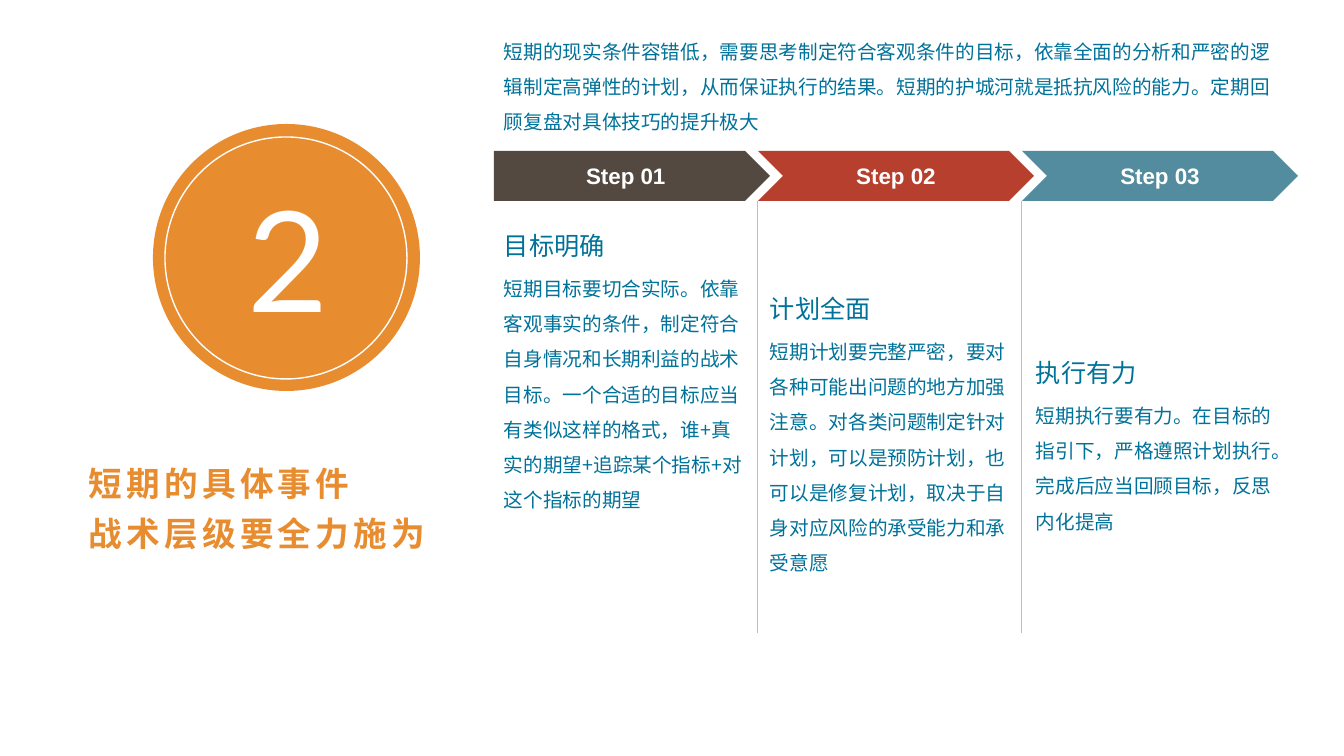
"""Build the slide on short-term events: a numbered badge and three tactical steps."""
from lxml.etree import SubElement
from pptx import Presentation
from pptx.dml.color import RGBColor
from pptx.enum.shapes import MSO_CONNECTOR, MSO_SHAPE
from pptx.enum.text import MSO_ANCHOR, MSO_AUTO_SIZE, PP_ALIGN
from pptx.oxml.ns import qn
from pptx.util import Pt

PX = 914400 / 100.8
CJK = "Noto Sans CJK SC"
COLORS = {
    "orange": "E88C30", "white": "FFFFFF", "brown": "534941", "red": "B6402D",
    "teal": "538C9F", "blue": "00729A", "rule": "BFBFBF",
}
RGB = {name: RGBColor.from_string(value) for name, value in COLORS.items()}

prs = Presentation()
prs.slide_width, prs.slide_height = round(1344 * PX), round(756 * PX)
s = prs.slides.add_slide(prs.slide_layouts[6])


def add_shape(kind, box, fill):
    sp = s.shapes.add_shape(kind, *[round(v * PX) for v in box])
    sp.shadow.inherit = False
    sp.fill.solid()
    sp.fill.fore_color.rgb = RGB[fill]
    sp.line.fill.background()
    return sp


def add_text(box, lines, size, color="blue", font=CJK, spacing=None, bold=False, tracking=0):
    sp = s.shapes.add_textbox(*[round(v * PX) for v in box])
    tf = sp.text_frame
    tf.word_wrap = True
    tf.auto_size = MSO_AUTO_SIZE.SHAPE_TO_FIT_TEXT
    tf.text = lines
    for p in tf.paragraphs:
        p.line_spacing = spacing
        for r in p.runs:
            r.font.size, r.font.bold, r.font.name = Pt(size), bold, font
            r.font.color.rgb = RGB[color]
            rPr = r._r.get_or_add_rPr()
            SubElement(rPr, qn("a:ea")).set("typeface", font)
            if tracking:
                rPr.set("spc", str(tracking * 100))
    return tf


add_shape(MSO_SHAPE.OVAL, (153, 124, 267, 267), "orange")
ring = add_shape(MSO_SHAPE.OVAL, (165, 137, 242, 242), "orange")
ring.line.color.rgb = RGB["white"]
ring.line.width = Pt(1)
tf = add_text((238, 168, 99, 179), "2", 100, "white", "Lato")
tf.word_wrap = False
tf.paragraphs[0].alignment = PP_ALIGN.CENTER

add_text((79, 449, 417, 110), "短期的具体事件\n战术层级要全力施为", 24, "orange",
         spacing=1.23, bold=True, tracking=3)
add_text((494, 23, 803, 117),
         "短期的现实条件容错低，需要思考制定符合客观条件的目标，依靠全面的分析和严密的逻辑制定高弹性的计划，"
         "从而保证执行的结果。短期的护城河就是抵抗风险的能力。定期回顾复盘对具体技巧的提升极大",
         14, spacing=1.5)

steps = [
    (MSO_SHAPE.PENTAGON, "brown", "目标明确", 259,
     "短期目标要切合实际。依靠客观事实的条件，制定符合自身情况和长期利益的战术目标。"
     "一个合适的目标应当有类似这样的格式，谁+真实的期望+追踪某个指标+对这个指标的期望"),
    (MSO_SHAPE.CHEVRON, "red", "计划全面", 259,
     "短期计划要完整严密，要对各种可能出问题的地方加强注意。对各类问题制定针对计划，"
     "可以是预防计划，也可以是修复计划，取决于自身对应风险的承受能力和承受意愿"),
    (MSO_SHAPE.CHEVRON, "teal", "执行有力", 152,
     "短期执行要有力。在目标的指引下，严格遵照计划执行。完成后应当回顾目标，反思内化提高"),
]
for i, (kind, color, heading, height, body) in enumerate(steps):
    x = 494 + 264 * i
    sp = add_shape(kind, (x, 151, 276, 50), color)
    tf = sp.text_frame
    tf.word_wrap = False
    tf.vertical_anchor = MSO_ANCHOR.MIDDLE
    p = tf.paragraphs[0]
    p.text = f"Step {i + 1:02}"
    p.alignment = PP_ALIGN.CENTER
    p.font.size, p.font.bold, p.font.name = Pt(16), True, "Arial"
    p.font.color.rgb = RGB["white"]

    if i:
        ends = (x - 1, 201, x - 1, 633)
        rule = s.shapes.add_connector(MSO_CONNECTOR.STRAIGHT, *[round(v * PX) for v in ends])
        rule.line.color.rgb = RGB["rule"]
        rule.line.width = Pt(0.25)
        SubElement(rule._element.spPr, qn("a:effectLst"))

    left, top = 494 + 266 * i, 230 + 127 * i // 2
    tf = add_text((left + 10, top, 222, 30), heading, 18)
    tf.vertical_anchor = MSO_ANCHOR.MIDDLE
    tf.margin_left = tf.margin_top = tf.margin_right = tf.margin_bottom = 0
    add_text((left, top + 30, 264, height), body, 14, spacing=1.5)

prs.save("out.pptx")
